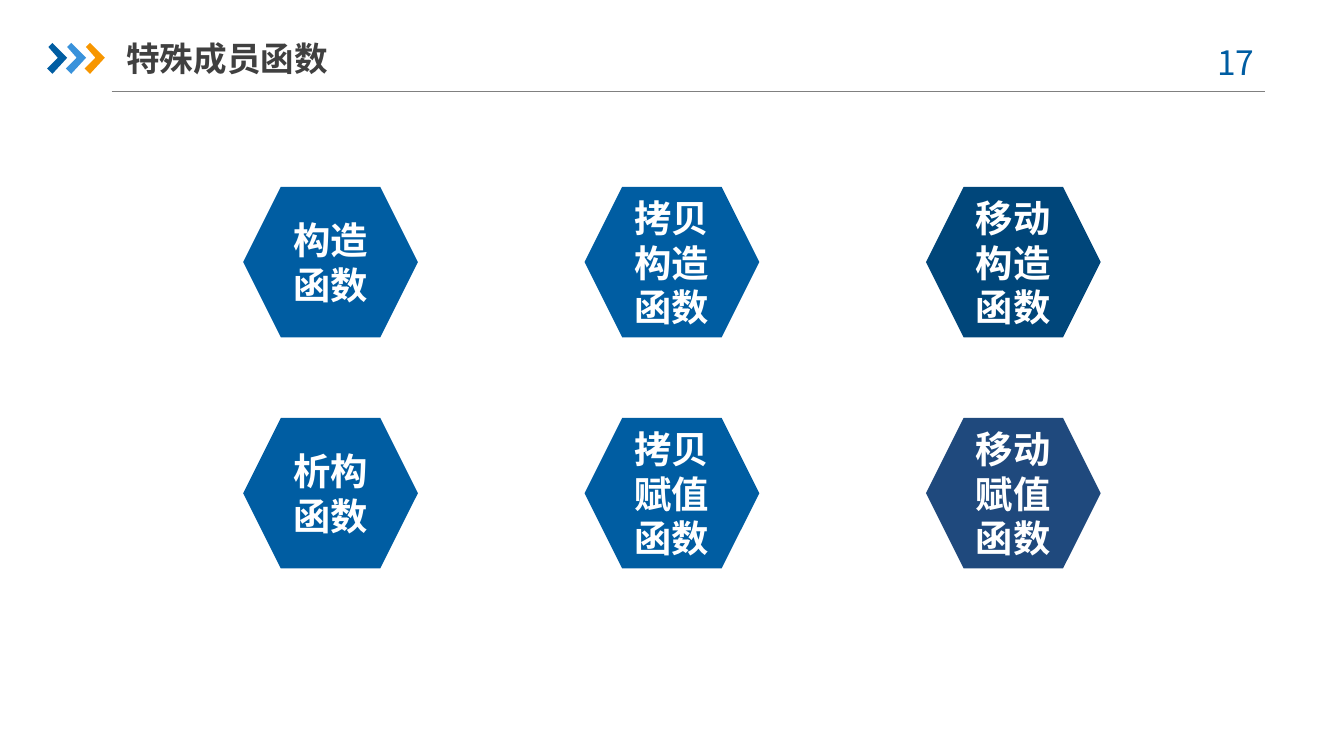
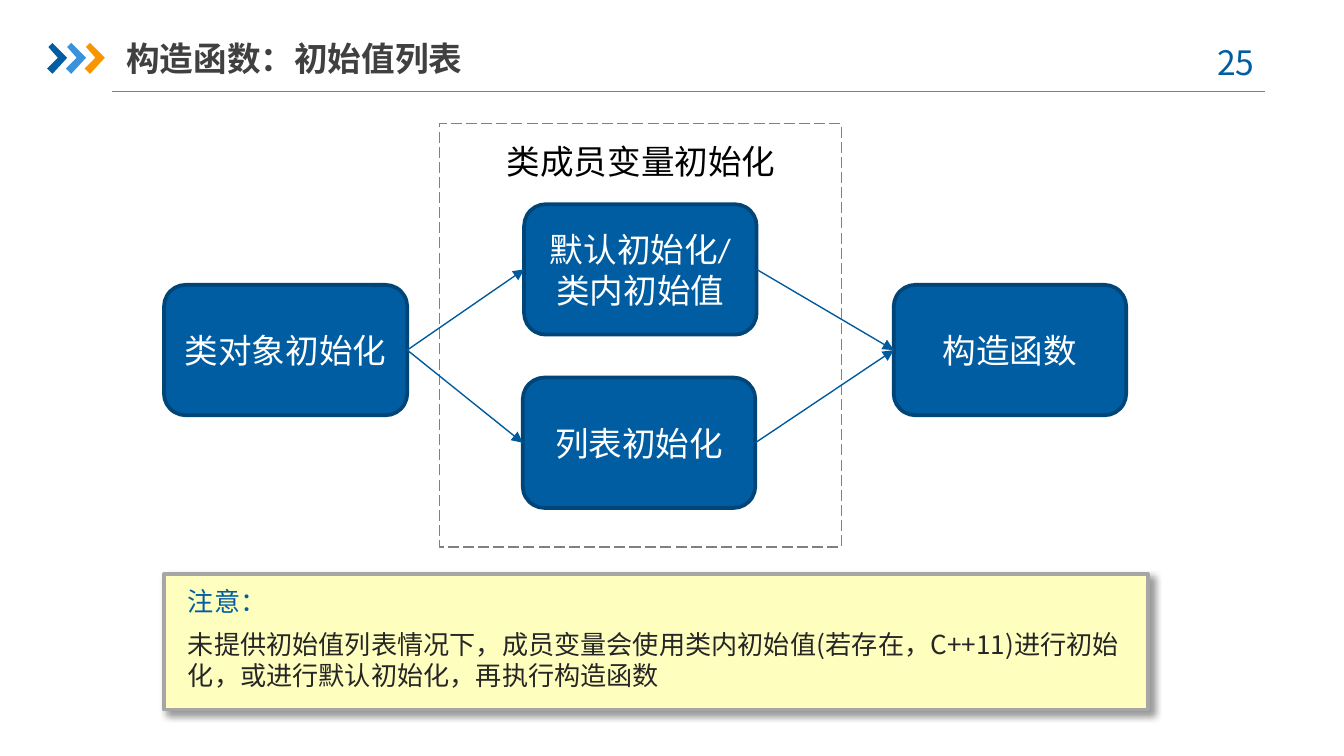
from dataclasses import dataclass
from typing import Optional

from lxml import etree
from pptx import Presentation, util as u
from pptx.dml.color import RGBColor
from pptx.enum import dml, shapes, text
from pptx.oxml import ns

# Grid: one column or row is a tenth of an inch
COLS, ROWS = 100, 56.25
NOTO, CALIBRI = "Noto Sans CJK SC", "Calibri"
BLUE, SKY, ORANGE, NAVY = "005DA2", "3992DB", "F79600", "00467A"
EDGE, ARROW, GREY, WHITE = "004578", "005B9E", "808080", "FFFFFF"
CREAM = "FEFFBE"
CENTER = text.PP_ALIGN.CENTER
MIDDLE = text.MSO_ANCHOR.MIDDLE
TOP = text.MSO_ANCHOR.TOP
LEFT_SIDE, RIGHT_SIDE = 1, 3


@dataclass(frozen=True)
class Box:
    left: float
    top: float
    width: float
    height: float

    def lengths(self) -> tuple:
        return tuple(map(grid, (self.left, self.top, self.width, self.height)))


@dataclass(frozen=True)
class Hexagon:
    label: str
    col: int
    row: int
    color: str = BLUE


@dataclass(frozen=True)
class Step:
    key: str
    lines: tuple
    box: Box


HEXAGONS = (
    Hexagon("构造函数", 0, 0),
    Hexagon("析构函数", 0, 1),
    Hexagon("拷贝构造函数", 1, 0),
    Hexagon("拷贝赋值函数", 1, 1),
    Hexagon("移动构造函数", 2, 0, NAVY),
    Hexagon("移动赋值函数", 2, 1, "1F497D"),
)
STEPS = (
    Step("object", ("类对象初始化",), Box(12.2, 21.2, 18.1, 9.7)),
    Step("default", ("默认初始化/", "类内初始值"), Box(39, 15.2, 17.3, 9.7)),
    Step("list", ("列表初始化",), Box(38.9, 28.1, 17.3, 9.7)),
    Step("constructor", ("构造函数",), Box(66.5, 21.2, 17.3, 9.7)),
)
FLOWS = (("object", "default"), ("object", "list"),
         ("default", "constructor"), ("list", "constructor"))
# Chevron outline in hundredths of an inch
CHEVRON = ((1, 3), (4, 0), (15, 11), (4, 23), (0, 19), (8, 11))


def grid(cells: float) -> int:
    return u.Inches(cells / 10)


def rgb(code: str) -> RGBColor:
    return RGBColor.from_string(code)


def paint(shape, fill: Optional[str] = None, line: Optional[str] = None,
          weight: float = 0.75) -> None:
    shape.shadow.inherit = False
    if fill:
        shape.fill.solid()
        shape.fill.fore_color.rgb = rgb(fill)
    else:
        shape.fill.background()
    if line:
        shape.line.color.rgb = rgb(line)
        shape.line.width = u.Pt(weight)
    else:
        shape.line.fill.background()


def write(shape, *lines: str, size: float = 18, font: str = NOTO, colors: tuple = (WHITE,),
          bold: bool = False, align=CENTER, anchor=MIDDLE,
          insets: tuple = (1, 0.5), after: float = 0) -> None:
    frame = shape.text_frame
    frame.word_wrap = True
    frame.auto_size = text.MSO_AUTO_SIZE.NONE
    frame.vertical_anchor = anchor
    frame.margin_left = frame.margin_right = grid(insets[0])
    frame.margin_top = frame.margin_bottom = grid(insets[1])
    for index, line in enumerate(lines):
        paragraph = frame.paragraphs[0] if index == 0 else frame.add_paragraph()
        paragraph.alignment = align
        paragraph.space_after = u.Pt(after)
        run = paragraph.add_run()
        run.text = line
        run.font.name, run.font.size, run.font.bold = font, u.Pt(size), bold
        run.font.color.rgb = rgb(colors[min(index, len(colors) - 1)])
        east_asian = etree.SubElement(run.font._element, ns.qn("a:ea"))
        east_asian.set("typeface", NOTO)


def add_box(slide, kind, box: Box, **look):
    shape = slide.shapes.add_shape(kind, *box.lengths())
    paint(shape, **look)
    return shape


def add_line(slide, start: tuple, end: tuple, color: str):
    line = slide.shapes.add_connector(
        shapes.MSO_CONNECTOR.STRAIGHT, *map(grid, start + end))
    line.line.color.rgb = rgb(color)
    line.line.width = u.Pt(0.75)
    etree.SubElement(line._element.spPr, ns.qn("a:effectLst"))
    return line


def add_arrow(slide, source, target) -> None:
    arrow = add_line(slide, (0, 0), (1, 1), ARROW)
    arrow.begin_connect(source, RIGHT_SIDE)
    arrow.end_connect(target, LEFT_SIDE)
    head = etree.SubElement(arrow.line._get_or_add_ln(), ns.qn("a:tailEnd"))
    head.set("type", "triangle")


def add_shadow(shape) -> None:
    effects = shape._element.spPr.find(ns.qn("a:effectLst"))
    shadow = etree.SubElement(
        effects, ns.qn("a:outerShdw"), blurRad=str(u.Pt(4)), dist=str(u.Pt(3)),
        dir=str(45 * 60000), algn="tl", rotWithShape="0")
    color = etree.SubElement(shadow, ns.qn("a:srgbClr"), val="000000")
    etree.SubElement(color, ns.qn("a:alpha"), val="40000")


def add_page(deck, title: str, number: int, title_width: float):
    """Start a slide with the shared rule, chevrons, number and title."""
    slide = deck.slides.add_slide(deck.slide_layouts[5])
    add_line(slide, (8.3, 6.8), (94.1, 6.8), GREY)
    for index, color in enumerate((BLUE, SKY, ORANGE)):
        points = [(35 + 14 * index + x, 32 + y) for x, y in CHEVRON]
        builder = slide.shapes.build_freeform(*points[0], scale=u.Inches(0.01))
        builder.add_line_segments(points[1:], close=True)
        paint(builder.convert_to_shape(), fill=color)
    page_number = slide.shapes.add_textbox(*Box(88.6, 2.6, 7.3, 4).lengths())
    write(page_number, f"{number} ", colors=(BLUE,), anchor=TOP)
    heading = slide.shapes.title
    heading.left, heading.top, heading.width, heading.height = Box(
        9.4, 2.2, title_width, 4.2).lengths()
    write(heading, title, colors=("404040",), bold=True,
          align=text.PP_ALIGN.LEFT, insets=(0, 0.5))
    return slide


def build_members(deck) -> None:
    slide = add_page(deck, "特殊成员函数", 17, 30.4)
    for item in HEXAGONS:
        box = Box(18.1 + 25.4 * item.col, 13.9 + 17.2 * item.row, 13, 11.2)
        hexagon = add_box(slide, shapes.MSO_SHAPE.HEXAGON, box, fill=item.color)
        write(hexagon, item.label, size=20, bold=True, insets=(0.8, 0.4))


def build_initializers(deck) -> None:
    slide = add_page(deck, "构造函数：初始值列表", 25, 54)

    # Steps of the initialization
    steps = {}
    for step in STEPS:
        steps[step.key] = add_box(slide, shapes.MSO_SHAPE.ROUNDED_RECTANGLE, step.box,
                                  fill=BLUE, line=EDGE, weight=2)
        write(steps[step.key], *step.lines, font=CALIBRI)

    # Dashed frame around the member steps
    members = add_box(slide, shapes.MSO_SHAPE.RECTANGLE, Box(32.7, 9.2, 29.9, 31.5), line=GREY)
    members.line.dash_style = dml.MSO_LINE.LONG_DASH
    caption = slide.shapes.add_textbox(*Box(35.2, 10, 25, 4).lengths())
    write(caption, "类成员变量初始化", font=CALIBRI, colors=("000000",), anchor=TOP)

    for source, target in FLOWS:
        add_arrow(slide, steps[source], steps[target])

    # Note panel
    panel = add_box(slide, shapes.MSO_SHAPE.RECTANGLE, Box(12.2, 42.7, 73.2, 10.1),
                    fill=CREAM, line="A6A6A6", weight=2)
    add_shadow(panel)
    note = add_box(slide, shapes.MSO_SHAPE.RECTANGLE, Box(13, 43.1, 71.7, 8.9), fill=CREAM)
    write(note, "注意：",
          "未提供初始值列表情况下，成员变量会使用类内初始值(若存在，C++11)进行初始化，"
          "或进行默认初始化，再执行构造函数",
          size=14, colors=(BLUE, "262626"), align=text.PP_ALIGN.LEFT, anchor=TOP, after=6)


def main() -> None:
    deck = Presentation()
    deck.slide_width, deck.slide_height = grid(COLS), grid(ROWS)
    build_members(deck)
    build_initializers(deck)
    deck.save("out.pptx")


if __name__ == "__main__":
    main()
